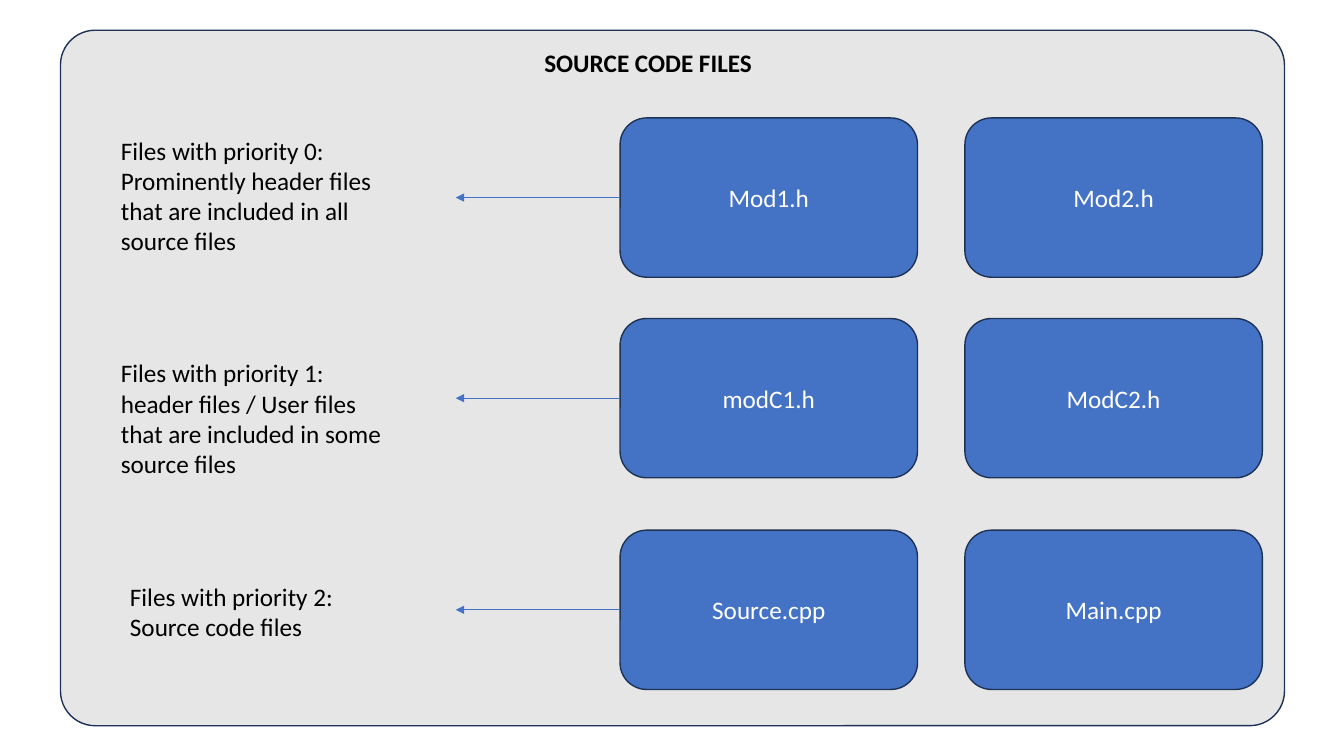
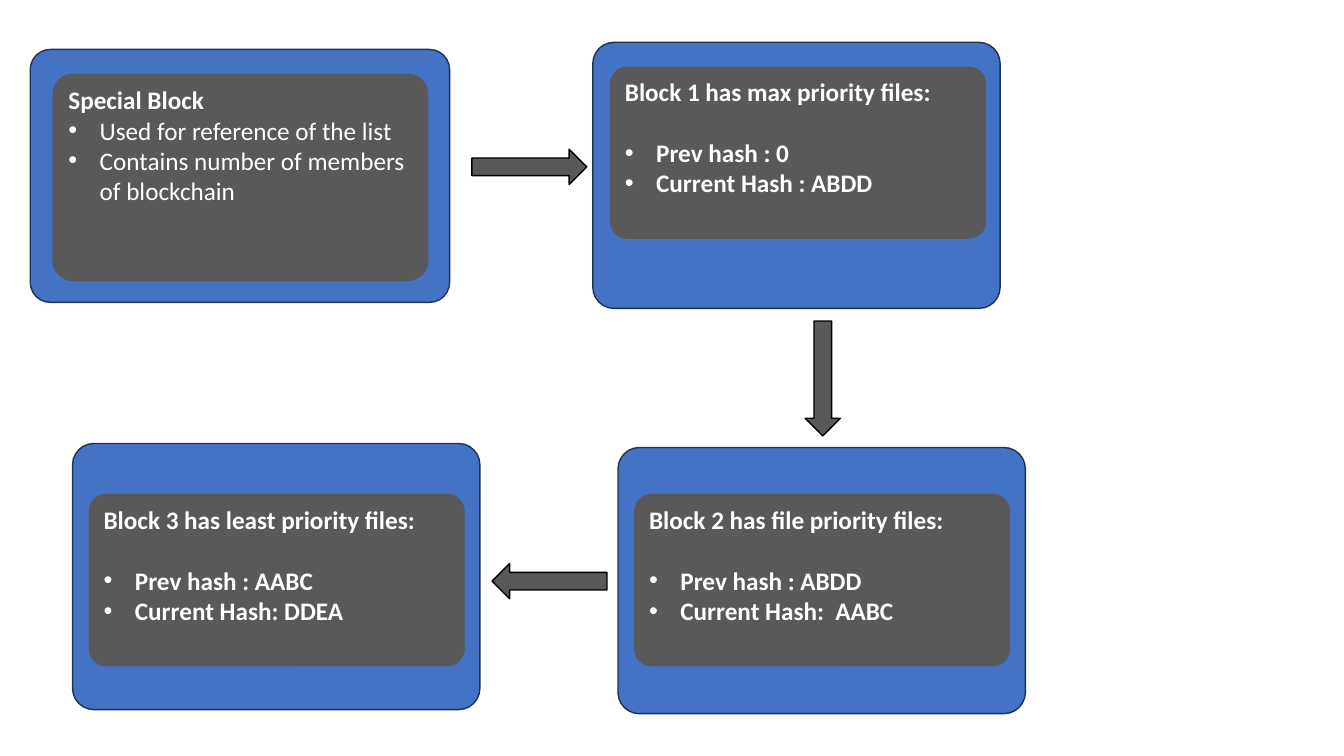
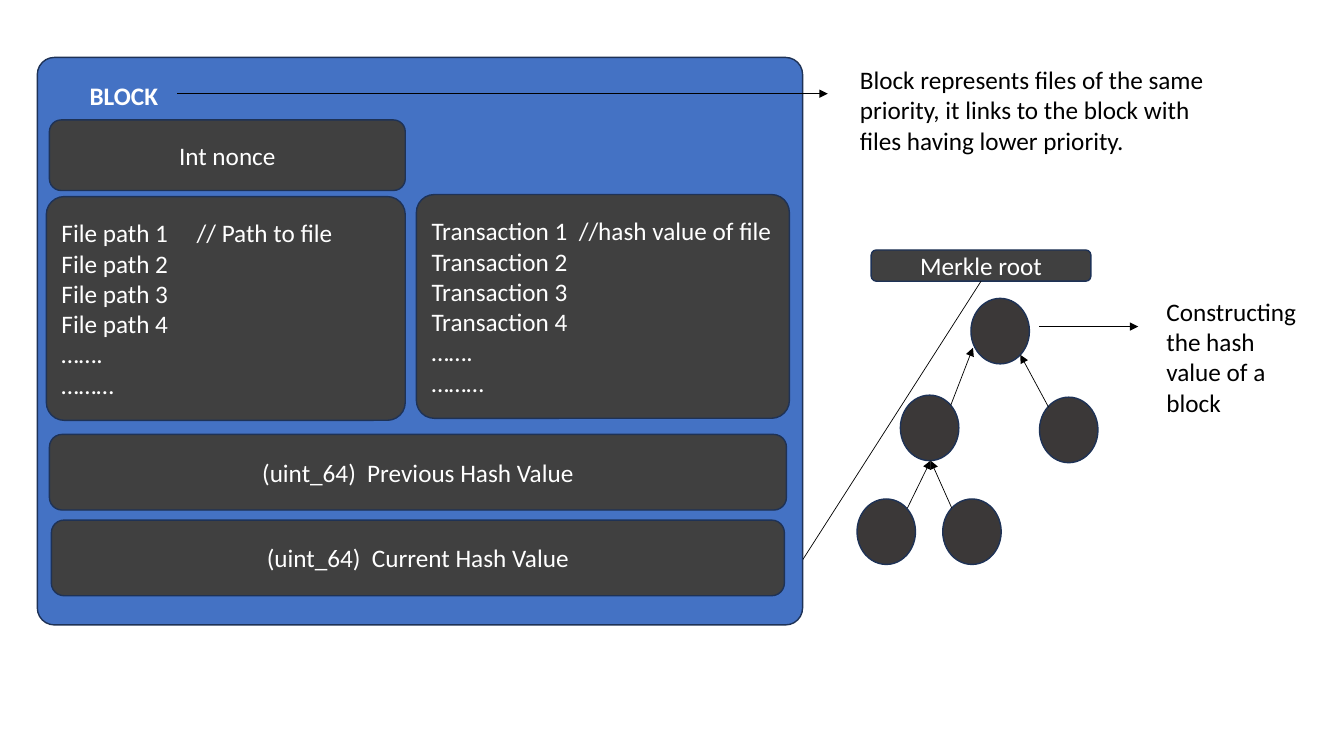
"""Build three slides on ordering source files by priority and chaining them in blocks."""
import pptx
import pptx.dml.color
import pptx.enum.shapes
import pptx.enum.text
import pptx.oxml
import pptx.oxml.ns
import pptx.util

Inches, Pt = pptx.util.Inches, pptx.util.Pt
RGB = pptx.dml.color.RGBColor.from_string
MSO = pptx.enum.shapes.MSO_SHAPE
ALIGN = pptx.enum.text.PP_ALIGN
ANCHOR = pptx.enum.text.MSO_ANCHOR
NS = pptx.oxml.ns.nsdecls("a")

THEME = {
    "blue": "4472C4", "panel": "E7E6E6", "grey": "595959", "dark": "404040",
    "node": "3B3838", "outline": "1E3256", "black": "000000", "white": "FFFFFF",
    "font": {"name": "Calibri", "size": Pt(18), "bold": False},
    "outline_width": Pt(1), "arrow_width": Pt(0.5),
}


def add_box(sl, kind, at, fill=None, line="outline", adj=None, lines=(),
            color="white", align=ALIGN.LEFT, anchor=ANCHOR.TOP, bold=False):
    """Add a preset shape, or a text box when kind is None, with one paragraph per line."""
    place = [Inches(v) for v in at]
    if kind is None:
        sp = sl.shapes.add_textbox(*place)
    else:
        sp = sl.shapes.add_shape(kind, *place)
        sp.shadow.inherit = False
        sp.fill.solid()
        sp.fill.fore_color.rgb = RGB(THEME[fill])
        if line:
            sp.line.color.rgb = RGB(THEME[line])
            sp.line.width = THEME["outline_width"]
        else:
            sp.line.fill.background()
    if adj is not None:
        sp.adjustments[0] = adj
    tf = sp.text_frame
    tf.word_wrap = True
    tf.vertical_anchor = anchor
    for i, text in enumerate(lines):
        p = tf.add_paragraph() if i else tf.paragraphs[0]
        p.alignment = align
        r = p.add_run()
        r.text = text
        for name, value in {**THEME["font"], "bold": bold}.items():
            setattr(r.font, name, value)
        r.font.color.rgb = RGB(THEME[color])
    return sp


def add_arrow(sl, start, end, color="black"):
    """Add a thin straight connector with an arrowhead at its end."""
    cx = sl.shapes.add_connector(pptx.enum.shapes.MSO_CONNECTOR.STRAIGHT,
                                 *[Inches(v) for v in (*start, *end)])
    cx.line.color.rgb = RGB(THEME[color])
    cx.line.width = THEME["arrow_width"]
    cx.line._get_or_add_ln().append(pptx.oxml.parse_xml(f'<a:tailEnd {NS} type="triangle"/>'))
    cx._element.spPr.append(pptx.oxml.parse_xml(f"<a:effectLst {NS}/>"))
    return cx


CENTRED = {"align": ALIGN.CENTER, "anchor": ANCHOR.MIDDLE}

prs = pptx.Presentation()
prs.slide_width, prs.slide_height = Inches(13.33), Inches(7.5)
blank = prs.slide_layouts[6]

sl = prs.slides.add_slide(blank)
add_box(sl, MSO.ROUNDED_RECTANGLE, (0.6, 0.3, 12.14, 6.9), "panel", adj=0.05)
add_box(sl, None, (5.3, 0.42, 2.32, 0.4), lines=["SOURCE CODE FILES"], color="black", bold=True)
file_w, file_h = 2.95, 1.58
priorities = [
    (1.17, ("Mod1.h", "Mod2.h"), (1.1, 1.29, 2.95, 1.31),
     "Prominently header files that are included in all source files"),
    (3.16, ("modC1.h", "ModC2.h"), (1.1, 3.5, 2.95, 1.31),
     "header files / User files that are included in some source files"),
    (5.26, ("Source.cpp", "Main.cpp"), (1.19, 5.72, 2.95, 0.71), "Source code files"),
]
for level, (top, names, note_at, note) in enumerate(priorities):
    first, second = [
        add_box(sl, MSO.ROUNDED_RECTANGLE, (left, top, file_w, file_h), "blue",
                lines=[name], **CENTRED)
        for left, name in zip((6.15, 9.57), names)]
    mid = top + file_h / 2
    cx = add_arrow(sl, (6.15, mid), (4.52, mid), "blue")
    cx.begin_connect(first, 1)
    add_box(sl, None, note_at, lines=[f"Files with priority {level}:", note], color="black")

sl = prs.slides.add_slide(blank)
blocks = [
    ((0.3, 0.49, 4.16, 2.51), (0.52, 0.73, 3.73, 2.06), "Special Block",
     ["Used for reference of the list", "Contains number of members of blockchain"], False),
    ((5.88, 0.42, 4.04, 2.64), (6.05, 0.66, 3.73, 1.71), "Block 1 has max priority files:",
     ["Prev hash : 0", "Current Hash : ABDD"], True),
    ((6.13, 4.44, 4.04, 2.64), (6.29, 4.9, 3.73, 1.71), "Block 2 has file priority files:",
     ["Prev hash : ABDD", "Current Hash:  AABC"], True),
    ((0.72, 4.4, 4.04, 2.64), (0.88, 4.9, 3.73, 1.71), "Block 3 has least priority files:",
     ["Prev hash : AABC", "Current Hash: DDEA"], True),
]
for outer, inner, heading, items, hashed in blocks:
    add_box(sl, MSO.ROUNDED_RECTANGLE, outer, "blue", adj=0.08)
    sp = add_box(sl, MSO.ROUNDED_RECTANGLE, inner, "grey", line=None, adj=0.1,
                 lines=[heading, *items], bold=hashed)
    title, *bullets = sp.text_frame.paragraphs
    title.runs[0].font.bold = True
    if hashed:
        title.space_after = Pt(22)
    for p in bullets:
        pPr = p._p.get_or_add_pPr()
        pPr.set("marL", str(Inches(0.31)))
        pPr.set("indent", str(-Inches(0.31)))
        pPr.append(pptx.oxml.parse_xml(f'<a:buFont {NS} typeface="Arial"/>'))
        pPr.append(pptx.oxml.parse_xml(f'<a:buChar {NS} char="•"/>'))
for left, top, turn in [(4.68, 1.48, 0), (7.59, 3.58, 90), (4.88, 5.59, 180)]:
    sp = add_box(sl, MSO.RIGHT_ARROW, (left, top, 1.14, 0.35), "grey", line="black")
    sp.rotation = turn

sl = prs.slides.add_slide(blank)
for left, top in [(9.63, 2.96), (10.31, 3.94), (8.93, 3.92), (9.35, 4.95), (8.5, 4.95)]:
    add_box(sl, MSO.OVAL, (left, top, 0.58, 0.65), "node")
for start, end in [((9, 5.04), (9.23, 4.57)), ((9.44, 5.04), (9.23, 4.57)),
                   ((9.43, 4.02), (9.65, 3.45)), ((10.4, 4.04), (10.12, 3.52)),
                   ((10.31, 3.24), (11.29, 3.24))]:
    add_arrow(sl, start, end)
root = add_box(sl, MSO.ROUNDED_RECTANGLE, (8.64, 2.48, 2.18, 0.31), "dark",
               lines=["Merkle root"], **CENTRED)
cx = add_arrow(sl, (9.73, 2.79), (7.88, 5.68))
cx.begin_connect(root, 2)

add_box(sl, MSO.ROUNDED_RECTANGLE, (0.37, 0.57, 7.59, 5.63), "blue", adj=0.03)
for at, text in [((0.49, 1.19, 3.53, 0.7), "Int nonce"),
                 ((0.49, 4.31, 7.31, 0.75), "(uint_64)  Previous Hash Value"),
                 ((0.51, 5.16, 7.27, 0.75), "(uint_64)  Current Hash Value")]:
    add_box(sl, MSO.ROUNDED_RECTANGLE, at, "dark", lines=[text], **CENTRED)
for at, label, remark in [((0.46, 1.95, 3.56, 2.22), "File path", "\t// Path to file"),
                          ((4.13, 1.93, 3.7, 2.22), "Transaction", "  //hash value of file")]:
    entries = [f"{label} {n}" for n in range(1, 5)]
    entries[0] += remark
    sp = add_box(sl, MSO.ROUNDED_RECTANGLE, at, "dark", adj=0.08,
                 lines=[*entries, "…….", "………"], anchor=ANCHOR.MIDDLE)
    if "\t" in remark:
        sp.text_frame.paragraphs[0]._p.get_or_add_pPr().append(pptx.oxml.parse_xml(
            f'<a:tabLst {NS}><a:tab pos="{Inches(1.34)}" algn="l"/></a:tabLst>'))

add_box(sl, None, (0.79, 0.75, 6.71, 0.44), lines=["BLOCK"], bold=True)
add_arrow(sl, (1.76, 0.93), (8.21, 0.93))
for at, text in [((8.43, 0.59, 3.67, 1.11),
                  "Block represents files of the same priority, it links to the block with "
                  "files having lower priority."),
                 ((11.47, 2.89, 1.5, 1.44), "Constructing the hash value of a block")]:
    add_box(sl, None, at, lines=[text], color="black")

prs.save("out.pptx")
